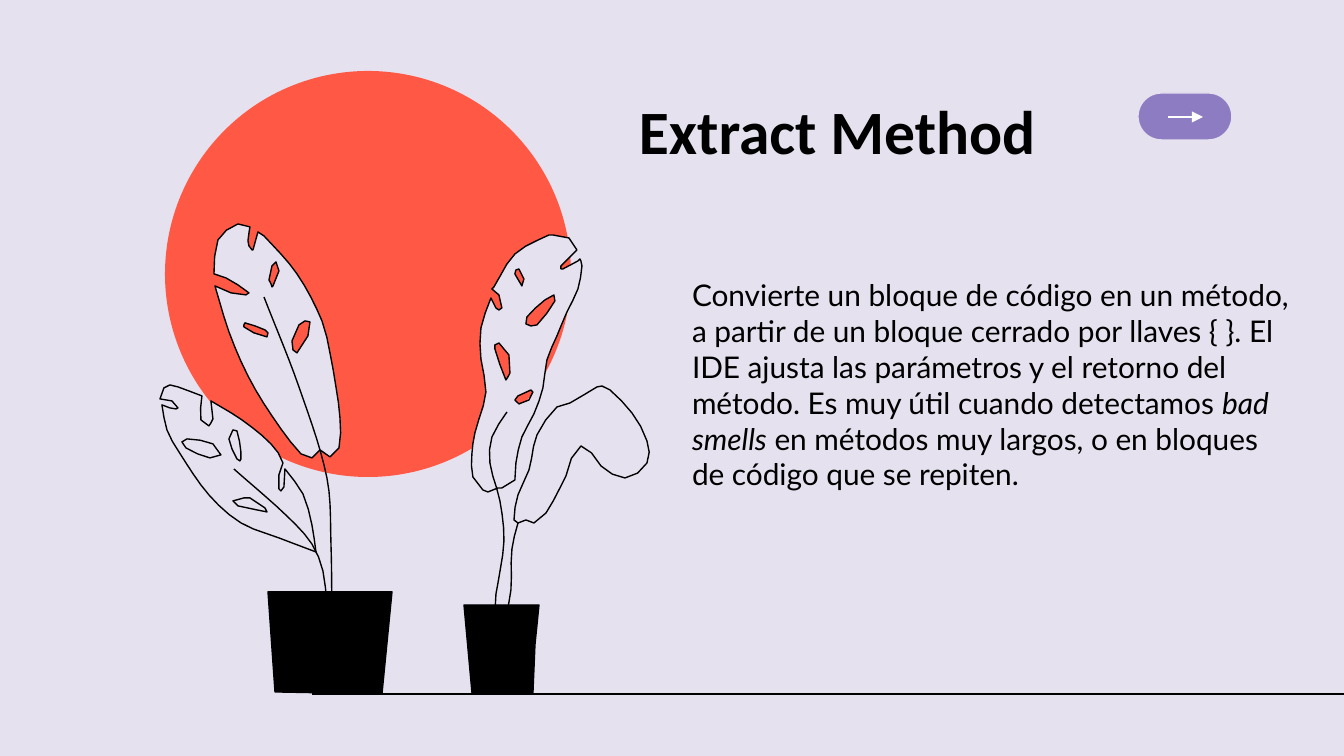
from math import hypot
from lxml import etree
from pptx import Presentation
from pptx.dml.color import RGBColor
from pptx.enum.shapes import MSO_CONNECTOR, MSO_SHAPE
from pptx.enum.text import MSO_ANCHOR
from pptx.oxml.ns import qn
from pptx.util import Emu, Pt

EMU_PER_PX = 914400 / 134.4
LAVENDER = RGBColor(0xE5, 0xE1, 0xEE)
PURPLE = RGBColor(0x8E, 0x7C, 0xC3)
CORAL = RGBColor(0xFF, 0x59, 0x46)
BLACK = RGBColor(0, 0, 0)
WHITE = RGBColor(0xFF, 0xFF, 0xFF)
CURVE_STEP = 14

TALL_LEAF = [
    "55,34 60,44 58,51 51,39 52,35",
    "90,60 91,66 73,90 67,91 62,89 63,82 81,65",
    "35,108 45,120 46,138 44,142 42,145 31,114 31,110",
    "67,155 69,157 65,165 55,169 51,165 54,161",
    "89,0 85,0 51,19 30,52 28,54 28,54 35,60 38,73 35,75 32,73 27,63 27,63 17,93 17,124 "
    "22,157 11,198 8,219 9,242 19,255 24,257 34,253 34,253 38,253 51,245 52,228 58,202 "
    "70,179 79,153 83,125 93,101 103,77 114,54 118,31 117,26 116,24 116,24 114,26 99,34 "
    "97,34 97,31 105,23 113,15 105,3",
]
DROOPING_LEAF = [
    "138,151 133,152 106,168 93,172 73,200 65,235 54,260 50,285 54,288 62,285 70,288 82,278 "
    "102,241 117,211 137,231 161,243 183,228 183,206 168,178 146,155",
]
UPPER_LEAF = [
    "117,38 113,42 110,56 112,60 113,63 114,62 120,47",
    "86,99 85,101 85,103 95,109 108,113 109,109 106,106",
    "146,97 140,101 133,117 134,126 138,129 149,112 151,98",
    "79,0 91,3 91,3 90,9 89,17 90,22 93,26 94,26 99,8 99,8 105,12 138,50 163,97 171,129 "
    "177,163 181,194 180,224 171,233 161,226 161,226 153,234 142,230 113,192 89,152 70,108 "
    "56,62 56,62 72,69 87,71 90,69 67,54 55,50 55,50 59,16",
]
LOWER_LEAF = [
    "28,215 23,218 27,224 51,234 62,231 54,220",
    "74,206 70,215 78,235 81,237 82,235 82,228 78,207",
    "85,274 74,277 79,282 98,286 108,288 106,284 91,274",
    "11,161 19,163 43,172 43,172 42,196 50,202 52,199 54,195 52,177 52,177 83,196 112,220 "
    "124,239 120,251 120,265 122,267 125,263 126,245 126,245 144,270 153,301 157,328 157,328 "
    "120,314 82,299 50,271 20,228 8,206 3,181 3,181 11,184 17,185 19,184 13,177 1,175 5,164",
]
RIGHT_PLANT = [
    ("leaf", TALL_LEAF),
    ("stem", ["75,242 58,277 48,314 47,355 39,395"]),
    ("leaf", DROOPING_LEAF),
    ("stem", ["17,409 30,380 32,359 34,348 40,306 36,266 26,228 28,202 43,177"]),
    ("pot", ["0,370 8,458 69,458 71,410 75,370"]),
]
LEFT_PLANT = [
    ("leaf", UPPER_LEAF),
    ("leaf", LOWER_LEAF),
    ("stem", ["75,245 128,292 153,320 164,347 168,380"]),
    ("stem", ["105,73 140,163 168,254 172,320 173,401"]),
    ("pot", ["233,368 223,470 116,468 109,368"]),
]


def emu(pixels):
    """Turn pixels into EMU."""
    return Emu(round(pixels * EMU_PER_PX))


def paint(shape, fill, line):
    """Set fill and outline; None leaves either of them out."""
    shape.shadow.inherit = False
    if fill is None:
        shape.fill.background()
    else:
        shape.fill.solid()
        shape.fill.fore_color.rgb = fill
    if line is None:
        shape.line.fill.background()
    else:
        shape.line.color.rgb = line
        shape.line.width = Pt(0.75)


def smooth(points, closed):
    """Return a curve through the points; a doubled point is a corner."""
    count = len(points)

    def direction(i):
        if closed:
            before, after = points[i - 1], points[(i + 1) % count]
        else:
            before, after = points[max(i - 1, 0)], points[min(i + 1, count - 1)]
        dx, dy = after[0] - before[0], after[1] - before[1]
        length = hypot(dx, dy) or 1
        return dx / length, dy / length

    curve = [points[0]]
    for i in range(count if closed else count - 1):
        j = (i + 1) % count
        start, end = points[i], points[j]
        chord = hypot(end[0] - start[0], end[1] - start[1])
        if not chord:
            continue
        reach = chord / 3
        leave, arrive = direction(i), direction(j)
        steps = max(1, round(chord / CURVE_STEP))
        for step in range(1, steps + 1):
            t = step / steps
            u = 1 - t
            curve.append(tuple(
                u**3 * a + 3 * u * u * t * (a + reach * p)
                + 3 * u * t * t * (b - reach * q) + t**3 * b
                for a, b, p, q in zip(start, end, leave, arrive)))
    return curve


def add_plant(slide, left, top, parts):
    """Draw leaves, stems and pot from the plant's top left corner."""
    fills = {"leaf": LAVENDER, "stem": None, "pot": BLACK}
    for part, outlines in parts:
        closed = part != "stem"
        builder = None
        for outline in outlines:
            points = [tuple(map(int, pair.split(","))) for pair in outline.split()]
            if part != "pot":
                points = smooth(points, closed)
            start, *rest = [(emu(left + x), emu(top + y)) for x, y in points]
            if builder is None:
                builder = slide.shapes.build_freeform(*start)
            else:
                builder.move_to(*start)
            builder.add_line_segments(rest, close=closed)
        paint(builder.convert_to_shape(), fills[part], BLACK)


def add_line(slide, x1, y1, x2, y2, color):
    """Draw a thin straight line and return it."""
    line = slide.shapes.add_connector(MSO_CONNECTOR.STRAIGHT, *map(emu, (x1, y1, x2, y2)))
    line.line.color.rgb = color
    line.line.width = Pt(0.75)
    etree.SubElement(line._element.spPr, qn("a:effectLst"))
    return line


def add_arrow_button(slide, left, top, width, height):
    """Draw the pill with an arrow in its middle."""
    pill = slide.shapes.add_shape(
        MSO_SHAPE.ROUNDED_RECTANGLE, *map(emu, (left, top, width, height)))
    pill.adjustments[0] = 0.5
    paint(pill, PURPLE, LAVENDER)
    middle = top + height // 2 + 1
    arrow = add_line(slide, left + 30, middle, left + 65, middle, WHITE)
    etree.SubElement(arrow._element.spPr.find(qn("a:ln")), qn("a:tailEnd"), type="triangle")


def add_sun(slide, left, top, size):
    """Draw the round sun behind the plants."""
    sun = slide.shapes.add_shape(MSO_SHAPE.OVAL, *map(emu, (left, top, size, size)))
    paint(sun, CORAL, None)


def add_text(slide, left, top, width, height, runs, font, size, indent=0):
    """Write one paragraph of (text, bold, italic) runs in the box."""
    box = slide.shapes.add_textbox(*map(emu, (left, top, width, height)))
    frame = box.text_frame
    frame.word_wrap = True
    frame.vertical_anchor = MSO_ANCHOR.MIDDLE
    frame.margin_left = frame.margin_right = emu(13)
    frame.margin_top = frame.margin_bottom = emu(13)
    paragraph = frame.paragraphs[0]
    properties = paragraph._p.get_or_add_pPr()
    properties.set("marL", str(emu(indent)))
    properties.set("indent", "0")
    for text, bold, italic in runs:
        run = paragraph.add_run()
        run.text = text
        run.font.name, run.font.size = font, Pt(size)
        run.font.bold, run.font.italic = bold, italic
        run.font.color.rgb = BLACK


def build_slide(presentation):
    """Compose the Extract Method slide."""
    slide = presentation.slides.add_slide(presentation.slide_layouts[6])
    slide.background.fill.solid()
    slide.background.fill.fore_color.rgb = LAVENDER
    add_arrow_button(slide, 1138, 93, 94, 47)
    add_line(slide, 312, 694, 1344, 694, BLACK)
    add_sun(slide, 165, 71, 406)
    add_text(slide, 663, 253, 646, 263, [
        ("Convierte un bloque de código en un método, a partir de un bloque cerrado por "
         "llaves { }. El IDE ajusta las parámetros y el retorno del método. Es muy útil "
         "cuando detectamos\u00a0", False, False),
        ("bad smells", False, True),
        ("\u00a0en métodos muy largos, o en bloques de código que se repiten.", False, False),
    ], "Lato", 16, indent=16)
    add_plant(slide, 464, 235, RIGHT_PLANT)
    add_text(slide, 626, 102, 556, 56, [("Extract Method", True, False)], "Calibri", 33)
    add_plant(slide, 159, 224, LEFT_PLANT)


presentation = Presentation()
presentation.slide_width, presentation.slide_height = emu(1344), emu(756)
build_slide(presentation)
presentation.save("out.pptx")
